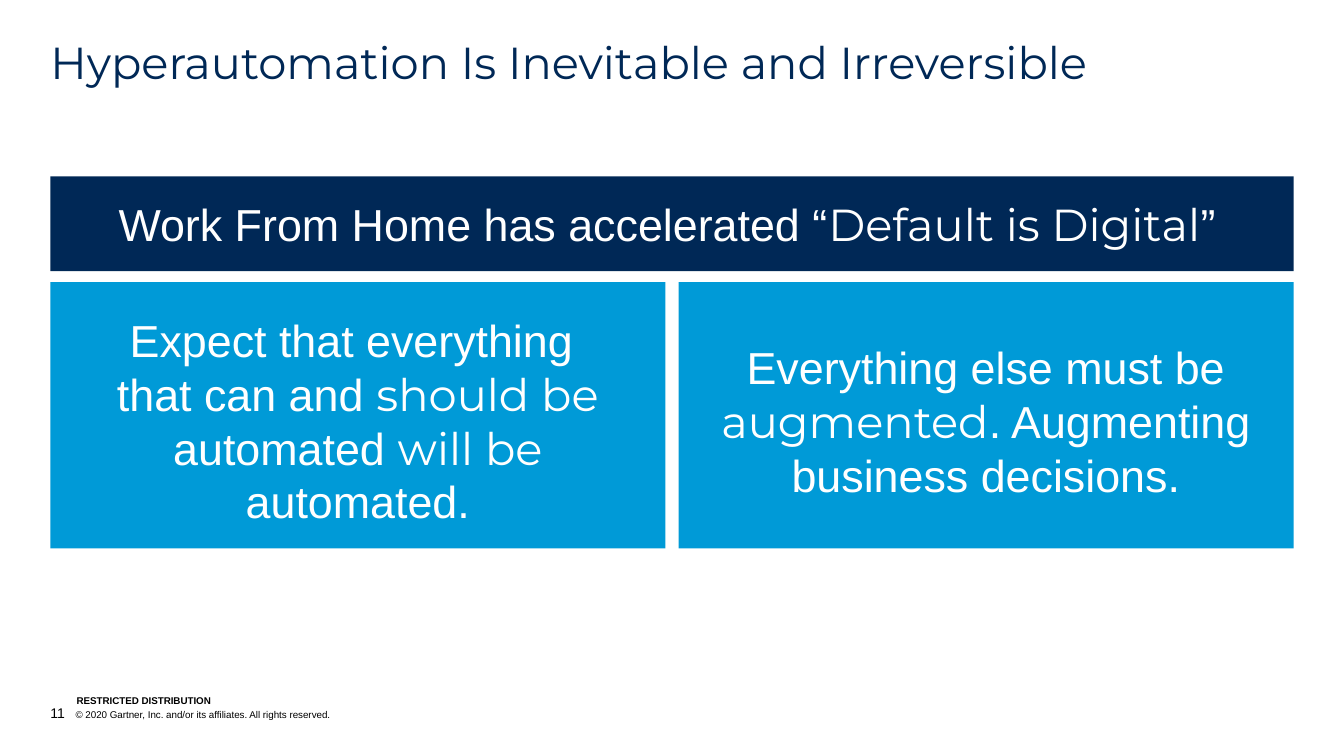
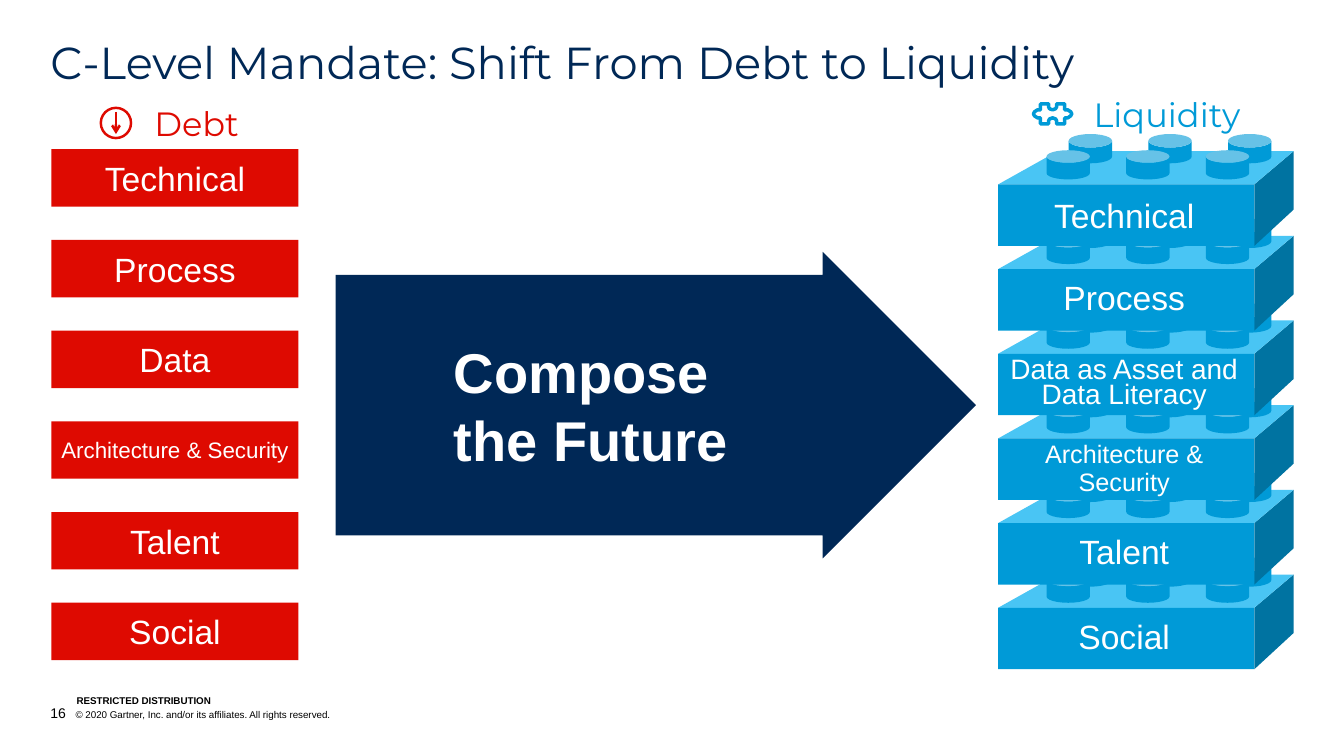
from dataclasses import dataclass

from lxml import etree
from pptx import Presentation
from pptx.dml.color import RGBColor
from pptx.enum.shapes import MSO_CONNECTOR, MSO_SHAPE
from pptx.enum.text import MSO_ANCHOR, PP_ALIGN
from pptx.oxml.ns import qn
from pptx.util import Inches, Pt

RECT, OVAL, CAN = MSO_SHAPE.RECTANGLE, MSO_SHAPE.OVAL, MSO_SHAPE.CAN
RIGHT_ARROW, STRAIGHT = MSO_SHAPE.RIGHT_ARROW, MSO_CONNECTOR.STRAIGHT
LEFT, CENTER = PP_ALIGN.LEFT, PP_ALIGN.CENTER
TOP, MIDDLE, BOTTOM = MSO_ANCHOR.TOP, MSO_ANCHOR.MIDDLE, MSO_ANCHOR.BOTTOM


@dataclass(frozen=True)
class Theme:
    navy: str = "002856"
    blue: str = "009AD7"
    light_blue: str = "49C5F4"
    dark_blue: str = "0073A1"
    red: str = "DE0A01"
    white: str = "FFFFFF"
    black: str = "000000"
    body_font: str = "Arial"
    title_font: str = "Montserrat"
    title: int = 32
    call: int = 40
    label: int = 24
    number: int = 10
    footer: int = 7


T = Theme()
MARGIN, CONTENT_W = 0.5, 12.33

DISTRIBUTION = "RESTRICTED DISTRIBUTION"
COPYRIGHT = "© 2020 Gartner, Inc. and/or its affiliates. All rights reserved."

INEVITABLE = {
    "number": "11",
    "title": "Hyperautomation Is Inevitable and Irreversible",
    "banner": [
        "Work From Home has accelerated “",
        ("Default is Digital", T.title_font),
        "”",
    ],
    "cards": [
        [
            "Expect that everything \nthat can and ",
            ("should be ", T.title_font),
            "automated ",
            ("will be ", T.title_font),
            "automated.",
        ],
        [
            "Everything else must be ",
            ("augmented", T.title_font),
            ". Augmenting business decisions.",
        ],
    ],
}

MANDATE = {
    "number": "16",
    "title": "C-Level Mandate: Shift From Debt to Liquidity",
    "from": "Debt",
    "to": "Liquidity",
    "call": "Compose \nthe Future",
    "debts": [
        ("Technical", T.label),
        ("Process", T.label),
        ("Data", T.label),
        ("Architecture & Security", 16),
        ("Talent", T.label),
        ("Social", T.label),
    ],
    "bricks": [
        ("Technical", T.label, 1.0),
        ("Process", T.label, 0.9),
        ("Data as Asset and Data Literacy", 20, 0.75),
        ("Architecture & Security", 18, 0.9),
        ("Talent", T.label, 0.9),
        ("Social", T.label, 0.9),
    ],
}

PUZZLE_QUARTER = [
    (0, -0.04), (0.03, -0.05), (0.04, -0.07), (0.04, -0.1), (0.12, -0.1),
    (0.12, -0.04), (0.15, -0.04), (0.18, -0.02), (0.19, 0),
]


def rgb(color):
    return RGBColor.from_string(color)


def write(shape, runs, size, color=T.white, font=T.body_font, bold=False,
          align=LEFT, anchor=TOP, insets=(0, 0, 0, 0), spacing=1.0, wrap=True):
    tf = shape.text_frame
    tf.word_wrap = wrap
    tf.vertical_anchor = anchor
    tf.margin_left, tf.margin_top, tf.margin_right, tf.margin_bottom = map(Inches, insets)
    p = tf.paragraphs[0]
    p.alignment = align
    p.line_spacing = spacing
    p.font.name, p.font.size, p.font.bold = font, Pt(size), bold
    p.font.color.rgb = rgb(color)
    for run in [runs] if isinstance(runs, str) else runs:
        text, run_font = (run, None) if isinstance(run, str) else run
        for i, line in enumerate(text.split("\n")):
            if i:
                p.add_line_break()
            r = p.add_run()
            r.text = line
            if run_font:
                r.font.name = run_font
    return p


def add_text(s, box, runs, size, **style):
    tb = s.shapes.add_textbox(*map(Inches, box))
    return write(tb, runs, size, **style)


def paint(sp, color):
    sp.shadow.inherit = False
    sp.fill.solid()
    sp.fill.fore_color.rgb = rgb(color)
    sp.line.fill.background()
    return sp


def outline(sp, color, width):
    sp.shadow.inherit = False
    sp.fill.background()
    sp.line.color.rgb = rgb(color)
    sp.line.width = Pt(width)
    return sp


def add_block(s, kind, box, color, adjustments=()):
    sp = paint(s.shapes.add_shape(kind, *map(Inches, box)), color)
    for i, value in enumerate(adjustments):
        sp.adjustments[i] = value
    return sp


def add_polygon(s, points):
    points = [(Inches(x), Inches(y)) for x, y in points]
    builder = s.shapes.build_freeform(*points[0], scale=1.0)
    builder.add_line_segments(points[1:], close=True)
    return builder.convert_to_shape()


def add_slide(prs, content):
    s = prs.slides.add_slide(prs.slide_layouts[6])
    add_text(s, (0.76, 6.9, 2.53, 0.11), DISTRIBUTION, T.footer,
             color=T.black, bold=True, anchor=BOTTOM, spacing=0.9)
    p = add_text(s, (MARGIN, 6.99, 7.99, 0.17), [content["number"], "\t" + COPYRIGHT],
                 T.footer, color=T.black, anchor=BOTTOM)
    p.runs[0].font.size = Pt(T.number)
    pPr = p._p.get_or_add_pPr()
    pPr.set("marL", str(Inches(0.25)))
    pPr.set("indent", str(Inches(-0.25)))
    add_text(s, (MARGIN, 0.4, CONTENT_W, 0.48), content["title"], T.title,
             color=T.navy, font=T.title_font, spacing=0.9)
    return s


def build_inevitable(prs):
    s = add_slide(prs, INEVITABLE)
    gap = 0.13
    cards = INEVITABLE["cards"]
    card_w = (CONTENT_W - gap * (len(cards) - 1)) / len(cards)
    banner = add_block(s, RECT, (MARGIN, 1.75, CONTENT_W, 0.94), T.navy)
    write(banner, INEVITABLE["banner"], T.title, align=CENTER, anchor=MIDDLE,
          insets=(0, 0.2, 0.1, 0.2))
    for i, runs in enumerate(cards):
        card = add_block(s, RECT, (MARGIN + i * (card_w + gap), 2.8, card_w, 2.64), T.blue)
        write(card, runs, T.title, align=CENTER, anchor=MIDDLE, insets=(0.1, 0.1, 0.1, 0))


def add_down_icon(s, x, y):
    radius = 0.15
    ring = s.shapes.add_shape(OVAL, *map(Inches, (x - radius, y - radius, 2 * radius, 2 * radius)))
    outline(ring, T.red, 1.75)
    arrow = s.shapes.add_connector(STRAIGHT, *map(Inches, (x, y - 0.11, x, y + 0.11)))
    arrow.line.color.rgb = rgb(T.red)
    arrow.line.width = Pt(1.75)
    etree.SubElement(arrow.line._get_or_add_ln(), qn("a:tailEnd"), type="arrow")
    etree.SubElement(arrow._element.spPr, qn("a:effectLst"))


def add_puzzle_icon(s, x, y):
    right = PUZZLE_QUARTER + [(dx, -dy) for dx, dy in PUZZLE_QUARTER[-2::-1]]
    left = [(-dx, dy) for dx, dy in right[-2:0:-1]]
    piece = add_polygon(s, [(x + dx, y + dy) for dx, dy in right + left])
    outline(piece, T.blue, 2.5)


def add_brick(s, y, text, size, spacing):
    left, front_right, right = 9.9, 12.44, 12.83
    front_y, front_h = y + 0.33, 0.61
    paint(add_polygon(s, [(right, y), (right, y + 0.58),
                          (front_right, front_y + front_h), (front_right, front_y)]), T.dark_blue)
    paint(add_polygon(s, [(left, front_y), (front_right, front_y),
                          (right, y), (10.49, y)]), T.light_blue)
    front = add_block(s, RECT, (left, front_y, front_right - left, front_h), T.blue)
    for row_x, row_y, rim in [(10.6, y - 0.17, 0.46), (10.38, y - 0.01, 0.43)]:
        for column in range(3):
            add_block(s, CAN, (row_x + 0.79 * column, row_y, 0.43, 0.29), T.blue, [rim])
    write(front, text, size, align=CENTER, anchor=MIDDLE,
          insets=(0.08, 0, 0.12, 0), spacing=spacing)


def build_mandate(prs):
    s = add_slide(prs, MANDATE)
    for i, (text, size) in enumerate(MANDATE["debts"]):
        box = add_block(s, RECT, (0.51, 1.48 + 0.9 * i, 2.45, 0.57), T.red)
        write(box, text, size, align=CENTER, anchor=MIDDLE)

    bricks = list(enumerate(MANDATE["bricks"]))
    for i, brick in reversed(bricks):
        add_brick(s, 1.5 + 0.84 * i, *brick)

    headings = [
        ((1.42, 0.97, 1.06, 0.5), MANDATE["from"], T.red),
        ((10.61, 0.88, 1.93, 0.5), MANDATE["to"], T.blue),
    ]
    for box, text, color in headings:
        add_text(s, box, text, T.label, color=color, font=T.title_font,
                 align=CENTER, insets=(0.1, 0.05, 0.1, 0.05), wrap=False)
    add_down_icon(s, 1.15, 1.22)
    add_puzzle_icon(s, 10.44, 1.13)

    arrow = add_block(s, RIGHT_ARROW, (3.33, 2.5, 6.35, 3.04), T.navy, [0.85, 0.5])
    write(arrow, MANDATE["call"], T.call, bold=True, anchor=MIDDLE,
          insets=(1.17, 0.05, 0.1, 0.05))


def main():
    prs = Presentation()
    prs.slide_width, prs.slide_height = Inches(13.33), Inches(7.5)
    build_inevitable(prs)
    build_mandate(prs)
    prs.save("out.pptx")


if __name__ == "__main__":
    main()
